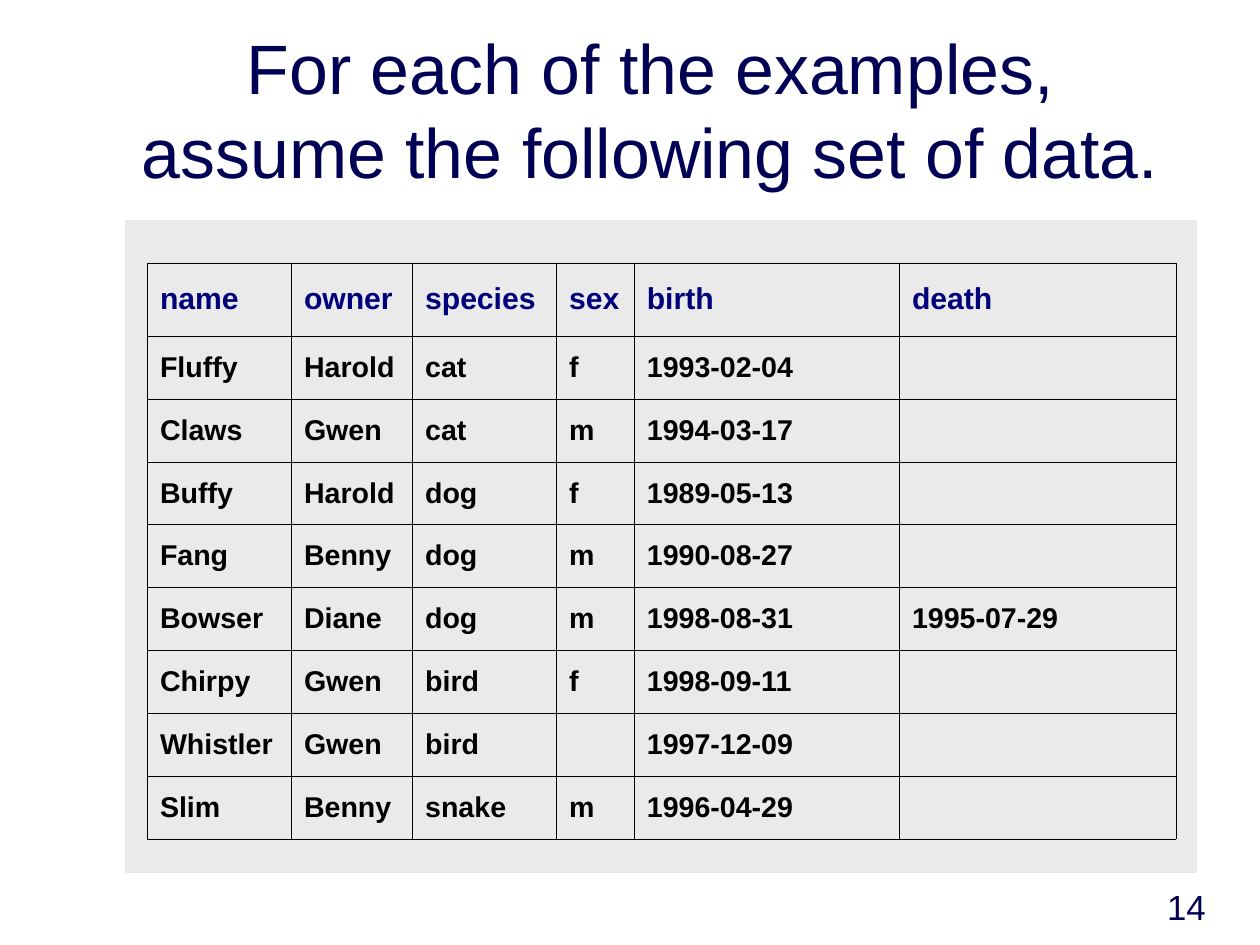
from lxml import etree
from pptx import Presentation
from pptx.dml.color import RGBColor
from pptx.enum.shapes import MSO_SHAPE
from pptx.enum.text import MSO_ANCHOR, PP_ALIGN
from pptx.oxml.ns import qn
from pptx.util import Inches, Pt

RECTANGLE = MSO_SHAPE.RECTANGLE
BOTTOM, MIDDLE = MSO_ANCHOR.BOTTOM, MSO_ANCHOR.MIDDLE
LEFT, CENTER, RIGHT = PP_ALIGN.LEFT, PP_ALIGN.CENTER, PP_ALIGN.RIGHT
NAVY, HEADER_BLUE, BLACK, PANEL_GREY = "000054", "00007A", "000000", "EAEAEA"
BORDER_WIDTH = Pt(0.34)
MM_PER_INCH = 25.4

COLUMN_WIDTHS = [1.26, 1.06, 1.26, 0.68, 2.32, 2.42]
HEADER_HEIGHT, ROW_HEIGHT = 0.64, 0.55
PETS = [
    ["name", "owner", "species", "sex", "birth", "death"],
    ["Fluffy", "Harold", "cat", "f", "1993-02-04", ""],
    ["Claws", "Gwen", "cat", "m", "1994-03-17", ""],
    ["Buffy", "Harold", "dog", "f", "1989-05-13", ""],
    ["Fang", "Benny", "dog", "m", "1990-08-27", ""],
    ["Bowser", "Diane", "dog", "m", "1998-08-31", "1995-07-29"],
    ["Chirpy", "Gwen", "bird", "f", "1998-09-11", ""],
    ["Whistler", "Gwen", "bird", "", "1997-12-09", ""],
    ["Slim", "Benny", "snake", "m", "1996-04-29", ""],
]


def color(value):
    return RGBColor.from_string(value)


def write(holder, text, size, ink, bold=False, align=LEFT, anchor=BOTTOM, margin=0.06):
    """Fill a text frame or a table cell with one formatted paragraph."""
    holder.margin_left = holder.margin_right = Inches(0.11)
    holder.margin_top = holder.margin_bottom = Inches(margin)
    holder.vertical_anchor = anchor
    frame = getattr(holder, "text_frame", holder)
    frame.word_wrap = True
    para = frame.paragraphs[0]
    para.alignment = align
    para.font.size = Pt(size)
    if text:
        span = para.add_run()
        span.text = text
        span.font.name = "Arial"
        span.font.size = Pt(size)
        span.font.bold = bold
        span.font.color.rgb = color(ink)


deck = Presentation()
deck.slide_width = Inches(280 / MM_PER_INCH)
deck.slide_height = Inches(210 / MM_PER_INCH)
page = deck.slides.add_slide(deck.slide_layouts[6])

number_box = page.shapes.add_textbox(Inches(8.36), Inches(7.63), Inches(2.3), Inches(0.55))
write(number_box.text_frame, "14", 22, NAVY, align=RIGHT)
number_box.text_frame.paragraphs[0].line_spacing = 0.96

title_box = page.shapes.add_textbox(Inches(1.01), Inches(0.18), Inches(9.37), Inches(1.56))
write(title_box.text_frame, "For each of the examples, assume the following set of data.",
      44, NAVY, align=CENTER)

panel = page.shapes.add_shape(RECTANGLE, Inches(1.1), Inches(1.93), Inches(9.37), Inches(5.7))
panel.shadow.inherit = False
panel.fill.solid()
panel.fill.fore_color.rgb = color(PANEL_GREY)
panel.line.color.rgb = color(PANEL_GREY)
panel.line.width = Pt(0.75)

table_height = HEADER_HEIGHT + ROW_HEIGHT * (len(PETS) - 1)
table = page.shapes.add_table(len(PETS), len(COLUMN_WIDTHS), Inches(1.29), Inches(2.3),
                              Inches(sum(COLUMN_WIDTHS)), Inches(table_height)).table
table.first_row = table.horz_banding = False
for column, width in zip(table.columns, COLUMN_WIDTHS):
    column.width = Inches(width)

for row_index, pet in enumerate(PETS):
    is_header = row_index == 0
    table.rows[row_index].height = Inches(HEADER_HEIGHT if is_header else ROW_HEIGHT)
    for column_index, text in enumerate(pet):
        cell = table.cell(row_index, column_index)
        write(cell, text, 19 if is_header else 18, HEADER_BLUE if is_header else BLACK,
              bold=True, anchor=MIDDLE, margin=0.05)
        properties = cell._tc.get_or_add_tcPr()
        for side in ("a:lnL", "a:lnR", "a:lnT", "a:lnB"):
            border = etree.SubElement(properties, qn(side), w=str(BORDER_WIDTH))
            ink = etree.SubElement(border, qn("a:solidFill"))
            etree.SubElement(ink, qn("a:srgbClr"), val=BLACK)
        cell.fill.background()

deck.save("out.pptx")
